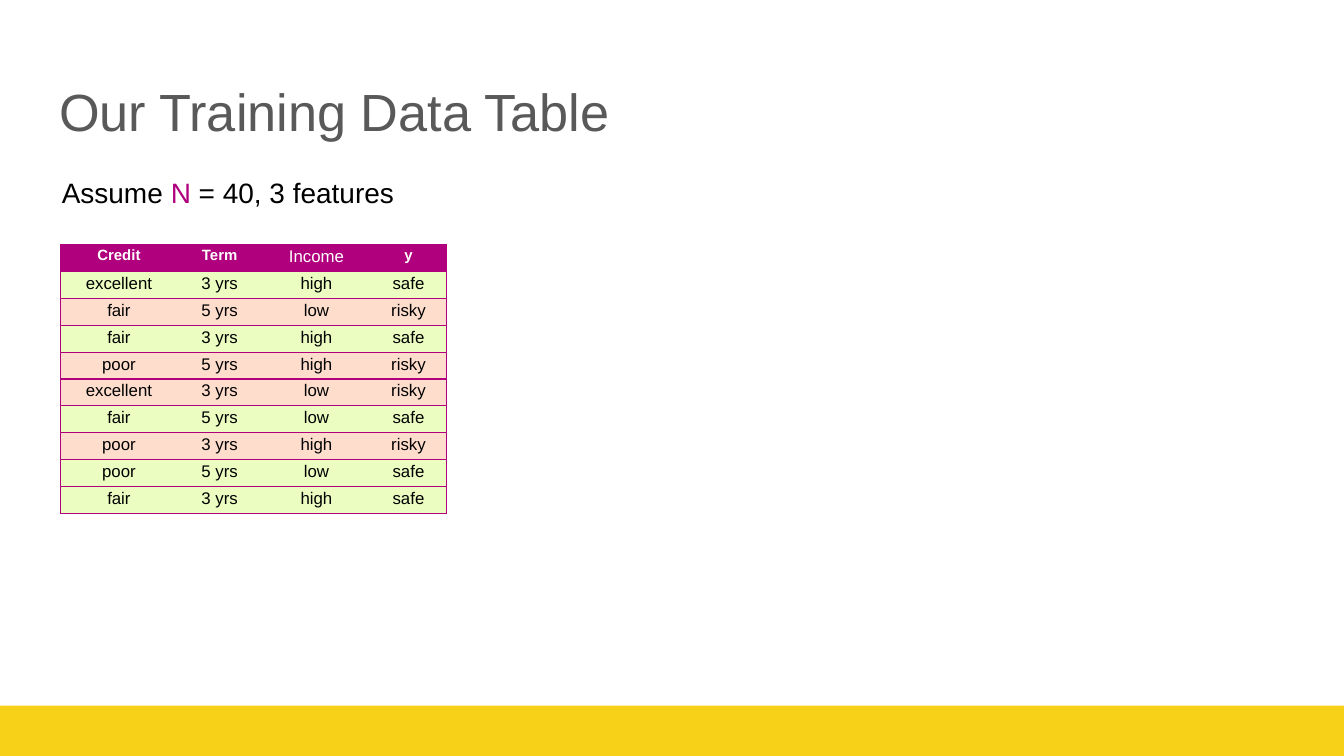
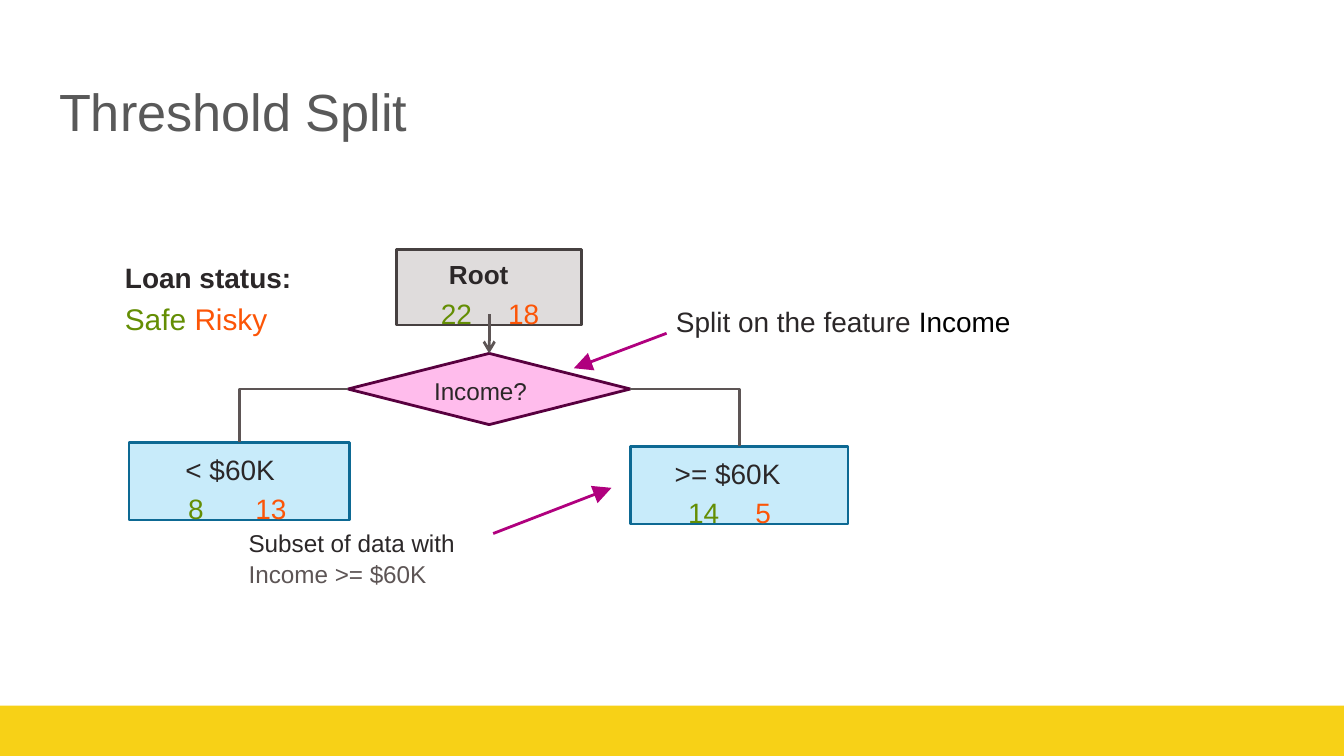
"""Build two slides on decision trees: a training table and a threshold split."""
from dataclasses import dataclass
from typing import NamedTuple, Optional

from lxml import etree
from pptx import Presentation
from pptx import util as u
from pptx.dml.color import RGBColor
from pptx.enum import shapes, text
from pptx.oxml import ns

PX = u.Inches(1) // 200


@dataclass(frozen=True)
class Theme:
    """Colours, font, type sizes and line widths of the deck."""
    font: str = "Arial"
    title: str = "595959"
    band: str = "F7D117"
    ink: str = "2B2728"
    black: str = "000000"
    white: str = "FFFFFF"
    accent: str = "B0007E"
    grey: str = "5D5555"
    safe: str = "648E04"
    risky: str = "FC5507"
    safe_row: str = "EBFDC1"
    risky_row: str = "FEDDCD"
    root_fill: str = "DFDCDC"
    root_line: str = "464040"
    leaf_fill: str = "C8EBFA"
    leaf_line: str = "0D6993"
    split_fill: str = "FFBCEC"
    split_line: str = "58003F"
    title_size: int = 28
    legend_size: int = 16
    body_size: int = 15
    root_size: int = 14
    note_size: int = 13
    cell_size: int = 9
    head_size: int = 8
    line_width: float = 1.5
    border_width: float = 0.75


THEME = Theme()


class Box(NamedTuple):
    """A rectangle in px."""
    left: int
    top: int
    width: int
    height: int


class Span(NamedTuple):
    """A piece of text in one format."""
    words: str
    color: str = THEME.ink
    size: int = THEME.body_size
    bold: bool = False


class Line(NamedTuple):
    """A paragraph made of spans; lengths in px, space before in points."""
    spans: list[Span]
    indent: int = 2
    spacing: Optional[float] = None
    tab: int = 0
    before: int = 0


class Label(NamedTuple):
    """A free-standing text box."""
    box: Box
    lines: list[Line]


class Node(NamedTuple):
    """A tree node with a heading and its safe and risky counts."""
    box: Box
    fill: str
    line: str
    heading: Span
    safe: int
    risky: int
    indents: tuple[int, int]
    tab: int
    spacing: float
    inset: int


class Arrow(NamedTuple):
    """A straight arrow between two px points."""
    start: tuple[int, int]
    end: tuple[int, int]
    color: str
    head: str = "triangle"
    head_size: str = "lg"


BAND = Box(0, 1050, 2000, 75)
TITLE = Box(68, 98, 1864, 126)
TABLE_LEFT, TABLE_TOP, ROW_HEIGHT = 90, 364, 40
COLUMNS = {"Credit": 174, "Term": 126, "Income": 162, "y": 112}
LOANS = [
    ("excellent", "3 yrs", "high", "safe"),
    ("fair", "5 yrs", "low", "risky"),
    ("fair", "3 yrs", "high", "safe"),
    ("poor", "5 yrs", "high", "risky"),
    ("excellent", "3 yrs", "low", "risky"),
    ("fair", "5 yrs", "low", "safe"),
    ("poor", "3 yrs", "high", "risky"),
    ("poor", "5 yrs", "low", "safe"),
    ("fair", "3 yrs", "high", "safe"),
]
ASSUMPTION = Label(Box(90, 260, 550, 52), [Line([
    Span("Assume ", THEME.black), Span("N ", THEME.accent), Span("= 40, 3 features", THEME.black)])])

ROOT = Node(Box(590, 372, 276, 112), THEME.root_fill, THEME.root_line,
            Span("Root", size=THEME.root_size, bold=True), 22, 18, (78, 66), 209, 1.2, 4)
LEAVES = [
    Node(Box(192, 658, 328, 116), THEME.leaf_fill, THEME.leaf_line,
         Span("< $60K"), 8, 13, (84, 88), 240, 1.18, 6),
    Node(Box(938, 664, 324, 116), THEME.leaf_fill, THEME.leaf_line,
         Span(">= $60K"), 14, 5, (66, 86), 238, 1.18, 6),
]
SPLIT = Box(518, 526, 420, 106)
SPLIT_TOP, SPLIT_LEFT, SPLIT_RIGHT, LEAF_TOP = 0, 1, 3, 0
ROOT_ARROW = Arrow((728, 468), (728, 526), THEME.grey, "arrow", "med")
NOTE_ARROWS = [
    Arrow((992, 496), (854, 548), THEME.accent),
    Arrow((734, 794), (910, 726), THEME.accent),
]
TREE_LABELS = [
    Label(Box(184, 376, 272, 116), [
        Line([Span("Loan status:", bold=True)], spacing=1.19),
        Line([Span("Safe ", THEME.safe, THEME.legend_size),
              Span("Risky", THEME.risky, THEME.legend_size)], spacing=1.19)]),
    Label(Box(1004, 452, 566, 52), [
        Line([Span("Split on the feature "), Span("Income", THEME.black)])]),
    Label(Box(644, 558, 168, 46), [Line([Span("Income?", size=THEME.note_size)])]),
    Label(Box(368, 784, 364, 92), [
        Line([Span("Subset of data with", size=THEME.note_size)]),
        Line([Span("Income >= $60K", THEME.grey, THEME.note_size)], before=1)]),
]


def rgb(color: str) -> RGBColor:
    """Turn a hex string into a colour."""
    return RGBColor.from_string(color)


def emu(box: Box) -> tuple[int, ...]:
    """Turn a px box into EMU lengths."""
    return tuple(length * PX for length in box)


def add_xml(parent, tag: str, **attributes: str):
    """Append a drawing element to a parent element."""
    return etree.SubElement(parent, ns.qn(tag), attributes)


def format_run(run, span: Span) -> None:
    """Apply the format of a span to a run."""
    run.font.name = THEME.font
    run.font.size = u.Pt(span.size)
    run.font.bold = span.bold
    run.font.color.rgb = rgb(span.color)


def write_lines(frame, lines: list[Line], inset: int) -> None:
    """Fill a text frame with formatted, left-aligned lines."""
    frame.word_wrap = True
    frame.auto_size = text.MSO_AUTO_SIZE.NONE
    frame.vertical_anchor = text.MSO_ANCHOR.TOP
    frame.margin_left = frame.margin_right = frame.margin_bottom = 0
    frame.margin_top = inset * PX
    for index, line in enumerate(lines):
        paragraph = frame.add_paragraph() if index else frame.paragraphs[0]
        paragraph.alignment = text.PP_ALIGN.LEFT
        if line.spacing:
            paragraph.line_spacing = line.spacing
        if line.before:
            paragraph.space_before = u.Pt(line.before)
        properties = paragraph._p.get_or_add_pPr()
        properties.set("marL", str(line.indent * PX))
        properties.set("indent", "0")
        if line.tab:
            tabs = add_xml(properties, "a:tabLst")
            add_xml(tabs, "a:tab", pos=str(line.tab * PX), algn="l")
        for span in line.spans:
            run = paragraph.add_run()
            run.text = span.words
            format_run(run, span)


def add_label(slide, label: Label) -> None:
    """Add a text box."""
    write_lines(slide.shapes.add_textbox(*emu(label.box)).text_frame, label.lines, 2)


def add_filled(slide, kind, box: Box, fill: str, line: Optional[str] = None):
    """Add a preset shape with a flat fill and an optional outline."""
    shape = slide.shapes.add_shape(kind, *emu(box))
    shape.shadow.inherit = False
    shape.fill.solid()
    shape.fill.fore_color.rgb = rgb(fill)
    if line:
        shape.line.color.rgb = rgb(line)
        shape.line.width = u.Pt(THEME.line_width)
    else:
        shape.line.fill.background()
    return shape


def add_node(slide, node: Node):
    """Add a tree node with its counts set apart by a tab."""
    shape = add_filled(slide, shapes.MSO_SHAPE.RECTANGLE, node.box, node.fill, node.line)
    counts = [Span(f"{node.safe}\t", THEME.safe), Span(str(node.risky), THEME.risky)]
    write_lines(shape.text_frame, [
        Line([node.heading], node.indents[0], node.spacing),
        Line(counts, node.indents[1], node.spacing, node.tab)], node.inset)
    return shape


def add_line(slide, kind, start: tuple[int, int], end: tuple[int, int], color: str):
    """Add a plain connector between two px points."""
    connector = slide.shapes.add_connector(kind, *(value * PX for value in start + end))
    connector.line.color.rgb = rgb(color)
    connector.line.width = u.Pt(THEME.line_width)
    add_xml(connector.element.spPr, "a:effectLst")
    return connector


def add_arrow(slide, arrow: Arrow):
    """Add a straight connector with an arrowhead at its end."""
    connector = add_line(slide, shapes.MSO_CONNECTOR.STRAIGHT, arrow.start, arrow.end, arrow.color)
    outline = connector.element.xpath(".//a:ln")[0]
    add_xml(outline, "a:tailEnd", type=arrow.head, w=arrow.head_size, len=arrow.head_size)
    return connector


def add_branch(slide, split, side: int, leaf, leaf_box: Box) -> None:
    """Join a side of the split to the top of a leaf with one bend."""
    start = (SPLIT.left + (SPLIT.width if side == SPLIT_RIGHT else 0), SPLIT.top + SPLIT.height // 2)
    end = (leaf_box.left + leaf_box.width // 2, leaf_box.top)
    connector = add_line(slide, shapes.MSO_CONNECTOR.ELBOW, start, end, THEME.grey)
    connector.element.xpath(".//a:prstGeom")[0].set("prst", "bentConnector2")
    connector.begin_connect(split, side)
    connector.end_connect(leaf, LEAF_TOP)


def set_border(cell, tag: str, visible: bool) -> None:
    """Draw or hide one border of a cell."""
    border = add_xml(cell._tc.get_or_add_tcPr(), tag, w=str(u.Pt(THEME.border_width)))
    if visible:
        add_xml(add_xml(border, "a:solidFill"), "a:srgbClr", val=THEME.accent)
    else:
        add_xml(border, "a:noFill")


def add_loan_table(slide) -> None:
    """Add the training table, each row coloured by its label."""
    rows = [tuple(COLUMNS), *LOANS]
    box = Box(TABLE_LEFT, TABLE_TOP, sum(COLUMNS.values()), ROW_HEIGHT * len(rows))
    table = slide.shapes.add_table(len(rows), len(COLUMNS), *emu(box)).table
    for column, width in zip(table.columns, COLUMNS.values()):
        column.width = width * PX
    fills = {"y": THEME.accent, "safe": THEME.safe_row, "risky": THEME.risky_row}
    for row_index, row in enumerate(rows):
        table.rows[row_index].height = ROW_HEIGHT * PX
        for column_index, words in enumerate(row):
            cell = table.cell(row_index, column_index)
            cell.margin_left = cell.margin_right = cell.margin_bottom = 0
            cell.margin_top = 4 * PX
            set_border(cell, "a:lnL", column_index == 0)
            set_border(cell, "a:lnR", column_index == len(row) - 1)
            set_border(cell, "a:lnT", True)
            set_border(cell, "a:lnB", True)
            cell.fill.solid()
            cell.fill.fore_color.rgb = rgb(fills[row[-1]])
            cell.text_frame.text = words
            paragraph = cell.text_frame.paragraphs[0]
            paragraph.alignment = text.PP_ALIGN.CENTER
            small = row_index == 0 and words != "Income"
            color = THEME.black if row_index else THEME.white
            size = THEME.head_size if small else THEME.cell_size
            format_run(paragraph.runs[0], Span(words, color, size, small))


def add_titled_slide(presentation, title: str):
    """Add a title-only slide with its title and bottom band."""
    slide = presentation.slides.add_slide(presentation.slide_layouts[5])
    shape = slide.shapes.title
    shape.left, shape.top, shape.width, shape.height = emu(TITLE)
    write_lines(shape.text_frame, [Line([Span(title, THEME.title, THEME.title_size)], 0)], 20)
    frame = shape.text_frame
    frame.margin_left = frame.margin_right = frame.margin_bottom = 20 * PX
    add_filled(slide, shapes.MSO_SHAPE.RECTANGLE, BAND, THEME.band)
    return slide


def build_table_slide(presentation) -> None:
    """Build the training data slide."""
    slide = add_titled_slide(presentation, "Our Training Data Table")
    add_label(slide, ASSUMPTION)
    add_loan_table(slide)


def build_split_slide(presentation) -> None:
    """Build the decision tree slide."""
    slide = add_titled_slide(presentation, "Threshold Split")
    add_node(slide, ROOT)
    split = add_filled(slide, shapes.MSO_SHAPE.DIAMOND, SPLIT, THEME.split_fill, THEME.split_line)
    for node, side in zip(LEAVES, (SPLIT_LEFT, SPLIT_RIGHT)):
        add_branch(slide, split, side, add_node(slide, node), node.box)
    add_arrow(slide, ROOT_ARROW).end_connect(split, SPLIT_TOP)
    for arrow in NOTE_ARROWS:
        add_arrow(slide, arrow)
    for label in TREE_LABELS:
        add_label(slide, label)


def main() -> None:
    """Build and save the presentation."""
    presentation = Presentation()
    presentation.slide_width, presentation.slide_height = 2000 * PX, 1125 * PX
    build_table_slide(presentation)
    build_split_slide(presentation)
    presentation.save("out.pptx")


if __name__ == "__main__":
    main()
